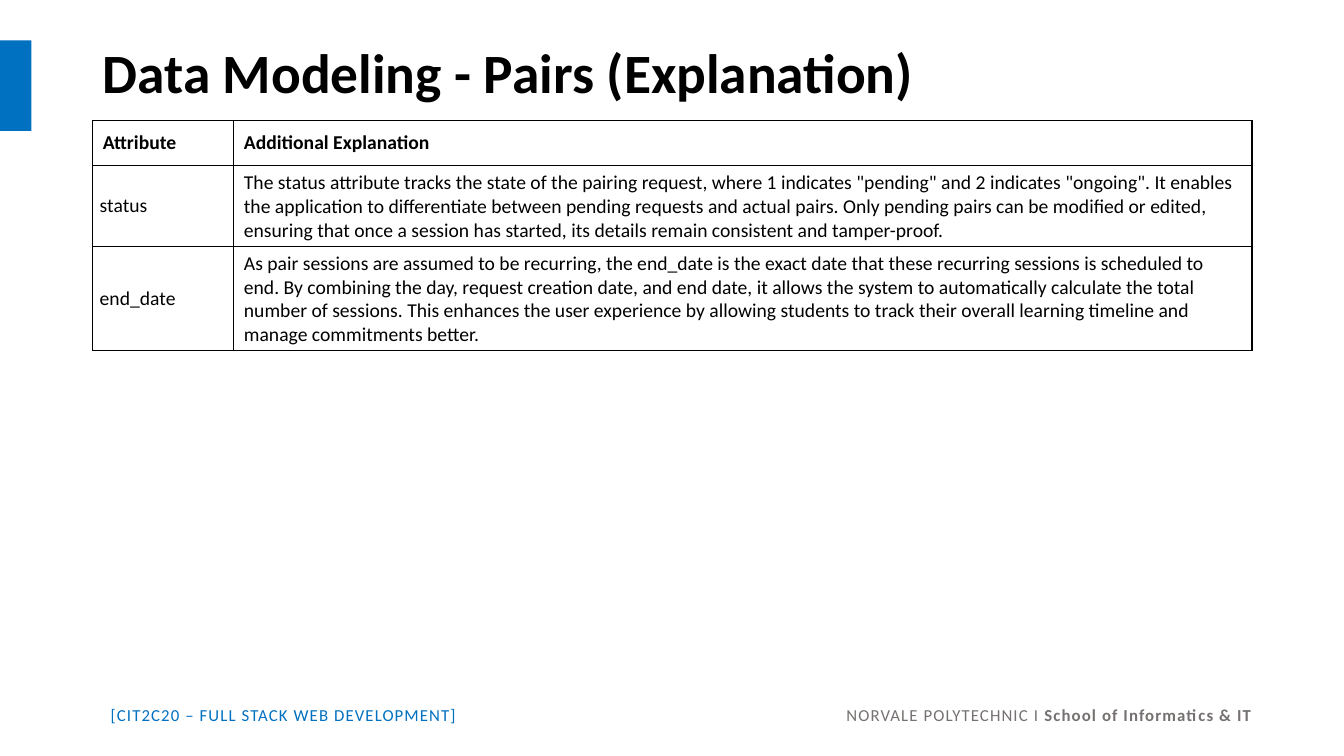
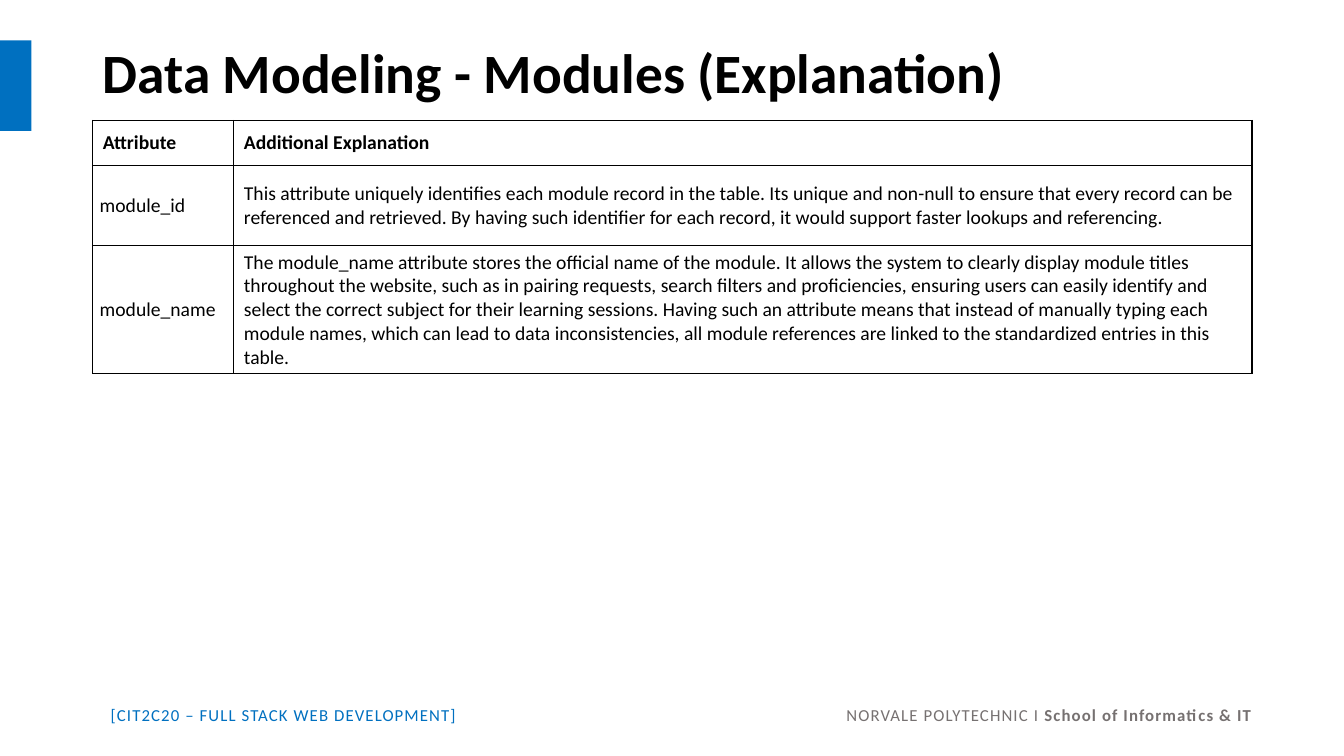
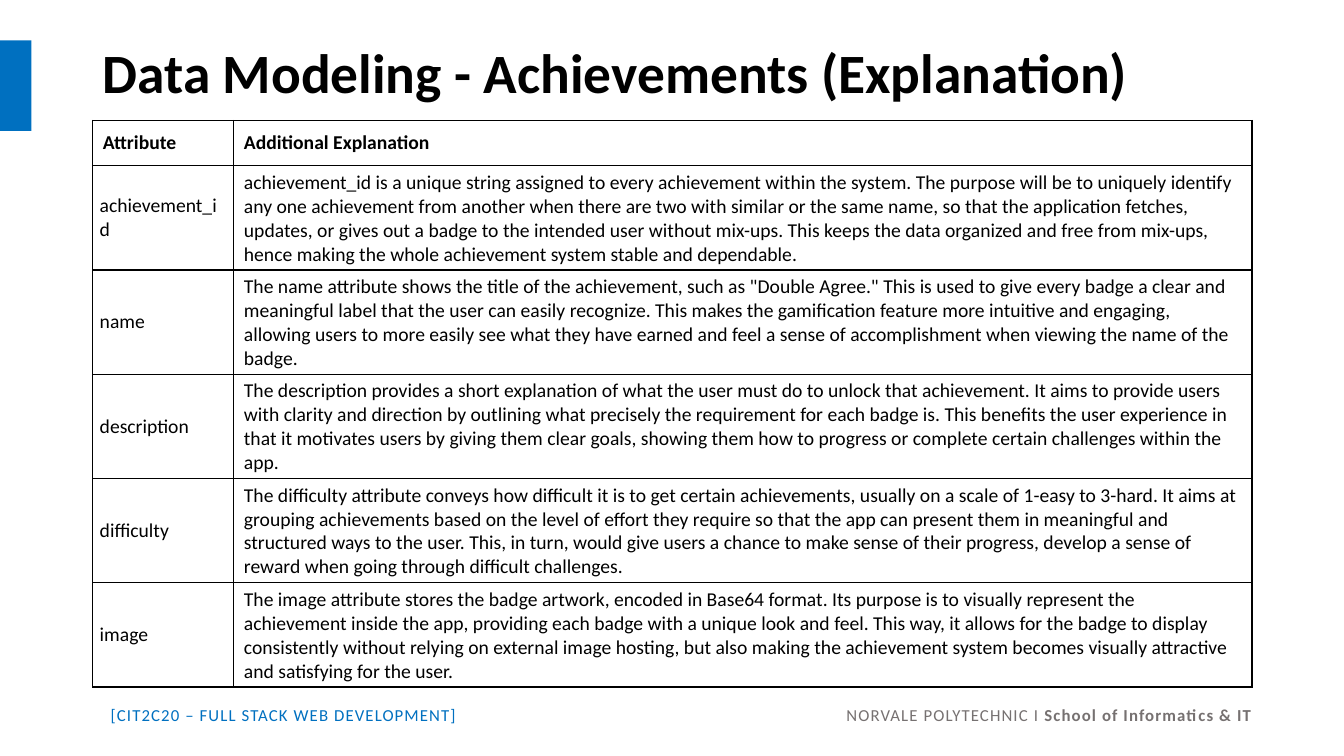
import pptx
import pptx.util
import pptx.dml.color
import pptx.enum.shapes
import pptx.enum.text
import pptx.oxml
import pptx.oxml.ns
from dataclasses import dataclass

Pt = pptx.util.Pt
ANCHOR = pptx.enum.text.MSO_ANCHOR
ALIGN = pptx.enum.text.PP_ALIGN


@dataclass(frozen=True)
class Theme:
    font: str = "Calibri"
    accent: str = "0070C0"
    ink: str = "000000"
    muted: str = "767171"
    title_size: float = 39.6
    body_size: float = 14
    footer_size: float = 12
    footer_spacing: float = 0.8
    border: float = 1


THEME = Theme()

SLIDE_SIZE = (960, 540)
# Boxes are left, top, width, height
BAND_BOX = (0, 28.8, 22.4, 64.8)
TITLE_BOX = (66.24, 28.8, 828, 50.4)
TABLE_BOX = (66.24, 86, 828, 0)
FOOTER_BOX = (72, 499.6, 829, 21.6)
NAME_WIDTH = 100.8
HEADER_HEIGHT, ROW_HEIGHT = 32.4, 56.9

HEADINGS = ("Attribute", "Additional Explanation")

SLIDES = [
    ("Pairs", [
        ("status",
         "The status attribute tracks the state of the pairing request, where 1 indicates "
         "\"pending\" and 2 indicates \"ongoing\". It enables the application to differentiate "
         "between pending requests and actual pairs. Only pending pairs can be modified or "
         "edited, ensuring that once a session has started, its details remain consistent and "
         "tamper-proof."),
        ("end_date",
         "As pair sessions are assumed to be recurring, the end_date is the exact date that "
         "these recurring sessions is scheduled to end. By combining the day, request creation "
         "date, and end date, it allows the system to automatically calculate the total number "
         "of sessions. This enhances the user experience by allowing students to track their "
         "overall learning timeline and manage commitments better."),
    ]),
    ("Modules", [
        ("module_id",
         "This attribute uniquely identifies each module record in the table. Its unique and "
         "non-null to ensure that every record can be referenced and retrieved. By having such "
         "identifier for each record, it would support faster lookups and referencing."),
        ("module_name",
         "The module_name attribute stores the official name of the module. It allows the "
         "system to clearly display module titles throughout the website, such as in pairing "
         "requests, search filters and proficiencies, ensuring users can easily identify and "
         "select the correct subject for their learning sessions. Having such an attribute "
         "means that instead of manually typing each module names, which can lead to data "
         "inconsistencies, all module references are linked to the standardized entries in "
         "this table."),
    ]),
    ("Achievements", [
        ("achievement_id",
         "achievement_id is a unique string assigned to every achievement within the system. "
         "The purpose will be to uniquely identify any one achievement from another when there "
         "are two with similar or the same name, so that the application fetches, updates, or "
         "gives out a badge to the intended user without mix-ups. This keeps the data organized "
         "and free from mix-ups, hence making the whole achievement system stable and "
         "dependable."),
        ("name",
         "The name attribute shows the title of the achievement, such as \"Double Agree.\" This "
         "is used to give every badge a clear and meaningful label that the user can easily "
         "recognize. This makes the gamification feature more intuitive and engaging, allowing "
         "users to more easily see what they have earned and feel a sense of accomplishment "
         "when viewing the name of the badge."),
        ("description",
         "The description provides a short explanation of what the user must do to unlock that "
         "achievement. It aims to provide users with clarity and direction by outlining what "
         "precisely the requirement for each badge is. This benefits the user experience in "
         "that it motivates users by giving them clear goals, showing them how to progress or "
         "complete certain challenges within the app."),
        ("difficulty",
         "The difficulty attribute conveys how difficult it is to get certain achievements, "
         "usually on a scale of 1-easy to 3-hard. It aims at grouping achievements based on the "
         "level of effort they require so that the app can present them in meaningful and "
         "structured ways to the user. This, in turn, would give users a chance to make sense "
         "of their progress, develop a sense of reward when going through difficult "
         "challenges."),
        ("image",
         "The image attribute stores the badge artwork, encoded in Base64 format. Its purpose "
         "is to visually represent the achievement inside the app, providing each badge with a "
         "unique look and feel. This way, it allows for the badge to display consistently "
         "without relying on external image hosting, but also making the achievement system "
         "becomes visually attractive and satisfying for the user."),
    ]),
]


def rgb(color):
    return pptx.dml.color.RGBColor.from_string(color)


def style_run(r, size, color=THEME.ink, bold=False):
    r.font.name = THEME.font
    r.font.size = Pt(size)
    r.font.color.rgb = rgb(color)
    r.font.bold = bold


def add_textbox(s, box, anchor=ANCHOR.TOP):
    tf = s.shapes.add_textbox(*map(Pt, box)).text_frame
    tf.word_wrap = True
    tf.vertical_anchor = anchor
    return tf


def add_band(s, box):
    sp = s.shapes.add_shape(pptx.enum.shapes.MSO_SHAPE.RECTANGLE, *map(Pt, box))
    sp.shadow.inherit = False
    sp.fill.solid()
    sp.fill.fore_color.rgb = rgb(THEME.accent)
    sp.line.fill.background()


def add_title(s, box, text):
    tf = add_textbox(s, box, ANCHOR.MIDDLE)
    tf.text = text
    p = tf.paragraphs[0]
    p.line_spacing = 0.9
    style_run(p.runs[0], THEME.title_size, bold=True)


def add_footer(s, box):
    left, top, width, height = box
    half = width / 2
    # Course on the left, school on the right
    parts = [
        (ALIGN.LEFT, [("[CIT2C20 – FULL STACK WEB DEVELOPMENT]", THEME.accent, False)]),
        (ALIGN.RIGHT, [("NORVALE POLYTECHNIC I ", THEME.muted, False),
                       ("School of Informatics & IT", THEME.muted, True)]),
    ]
    for i, (align, runs) in enumerate(parts):
        p = add_textbox(s, (left + i * half, top, half, height)).paragraphs[0]
        p.alignment = align
        for text, color, bold in runs:
            r = p.add_run()
            r.text = text
            style_run(r, THEME.footer_size, color, bold)
            r.font._element.set("spc", str(round(THEME.footer_spacing * 100)))


def set_borders(cell):
    tcPr = cell._tc.get_or_add_tcPr()
    for i, side in enumerate(("lnL", "lnR", "lnT", "lnB")):
        tcPr.insert(i, pptx.oxml.parse_xml(
            f'<a:{side} {pptx.oxml.ns.nsdecls("a")} w="{Pt(THEME.border)}">'
            f'<a:solidFill><a:srgbClr val="{THEME.ink}"/></a:solidFill></a:{side}>'))


def fill_cell(cell, text, bold):
    cell.text = text
    cell.vertical_anchor = ANCHOR.MIDDLE
    cell.fill.background()
    set_borders(cell)
    style_run(cell.text_frame.paragraphs[0].runs[0], THEME.body_size, bold=bold)


def add_attribute_table(s, box, rows):
    left, top, width, _ = box
    height = HEADER_HEIGHT + ROW_HEIGHT * len(rows)
    table = s.shapes.add_table(len(rows) + 1, 2, *map(Pt, (left, top, width, height))).table
    table.first_row = table.horz_banding = False
    table.columns[0].width = Pt(NAME_WIDTH)
    table.columns[1].width = Pt(width - NAME_WIDTH)
    for i, texts in enumerate([HEADINGS, *rows]):
        table.rows[i].height = Pt(ROW_HEIGHT if i else HEADER_HEIGHT)
        for j, text in enumerate(texts):
            fill_cell(table.cell(i, j), text, bold=i == 0)
        # Attribute names sit closer to the cell edge
        if i:
            name = table.cell(i, 0)
            name.margin_left = name.margin_right = Pt(5)
            name.margin_top = name.margin_bottom = 0
            p = name.text_frame.paragraphs[0]
            p.space_before = p.space_after = Pt(6)


def add_explanation_slide(prs, entity, rows):
    s = prs.slides.add_slide(prs.slide_layouts[6])
    add_footer(s, FOOTER_BOX)
    add_band(s, BAND_BOX)
    add_title(s, TITLE_BOX, f"Data Modeling - {entity} (Explanation)")
    add_attribute_table(s, TABLE_BOX, rows)


def main():
    prs = pptx.Presentation()
    prs.slide_width, prs.slide_height = map(Pt, SLIDE_SIZE)
    for entity, rows in SLIDES:
        add_explanation_slide(prs, entity, rows)
    prs.save("out.pptx")


if __name__ == "__main__":
    main()
